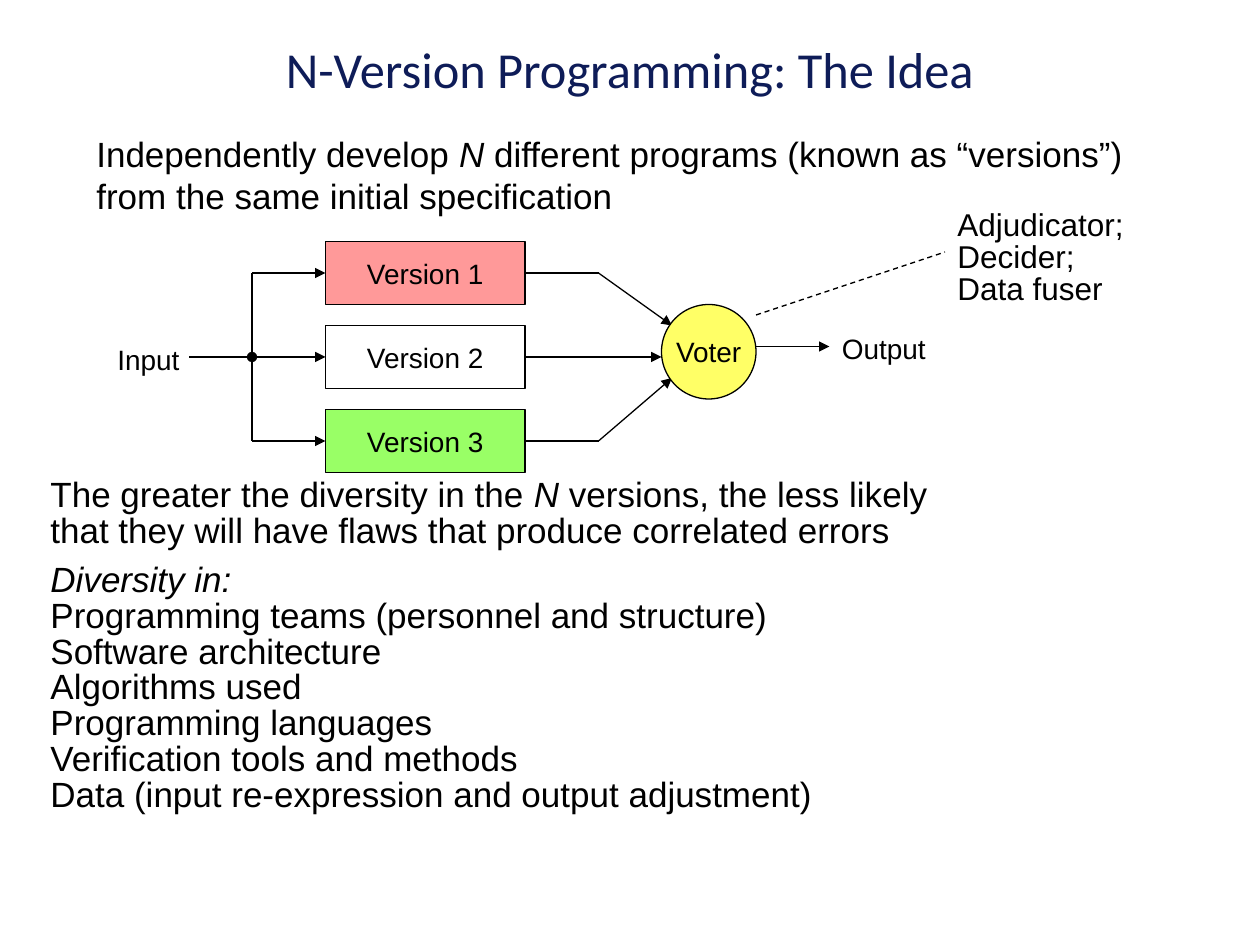
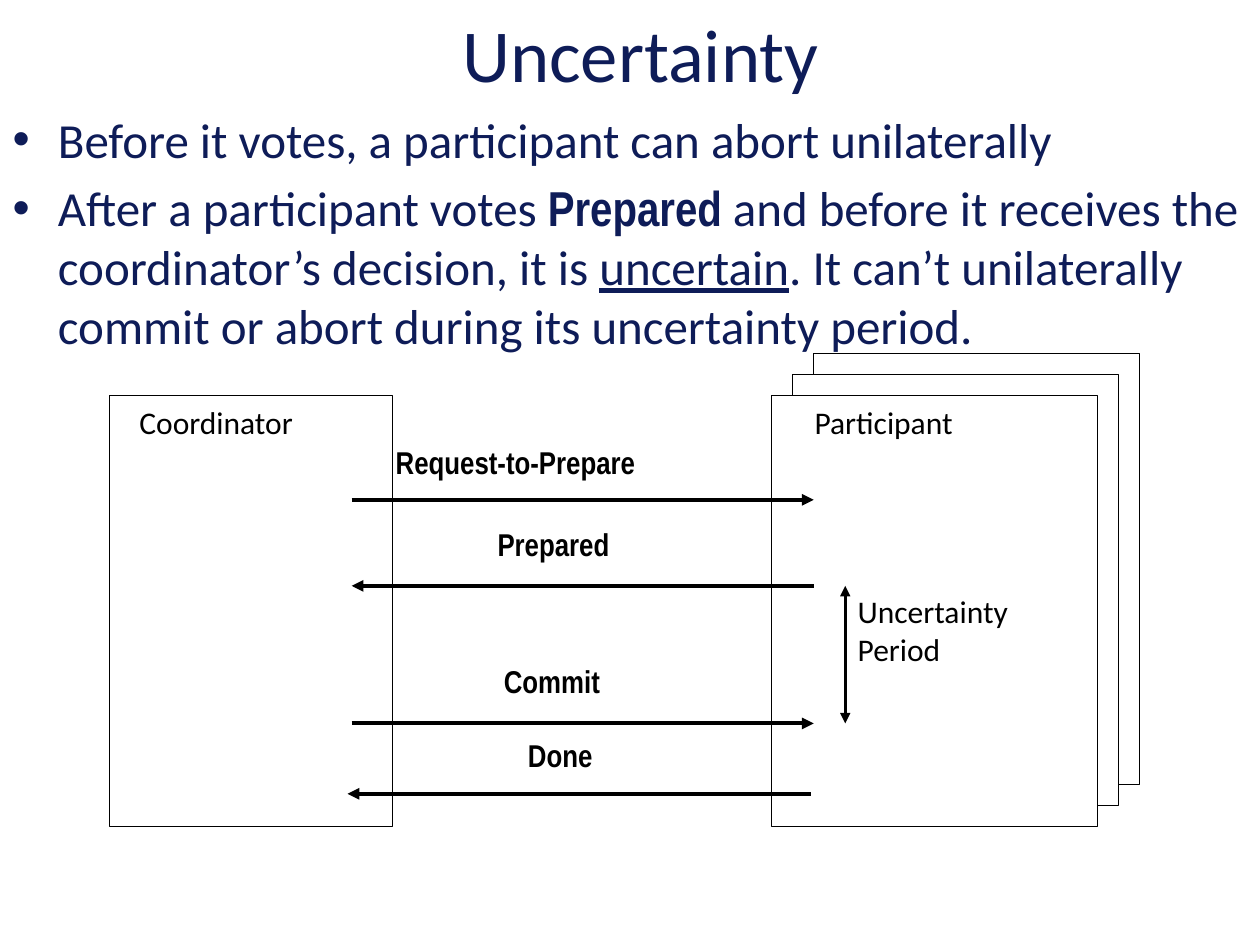
import pptx
import pptx.util
import pptx.dml.color
import pptx.enum.dml
import pptx.enum.shapes
import pptx.enum.text
import pptx.oxml.ns
from dataclasses import dataclass
from lxml import etree

SHAPE = pptx.enum.shapes.MSO_SHAPE
ALIGN = pptx.enum.text.PP_ALIGN
ANCHOR = pptx.enum.text.MSO_ANCHOR
qn = pptx.oxml.ns.qn


@dataclass(frozen=True)
class Theme:
    """Colours, fonts, type sizes and line widths of both slides."""
    navy: str = "0E1C58"
    ink: str = "000000"
    paper: str = "FFFFFF"
    rose: str = "FF9999"
    lime: str = "99FF66"
    yellow: str = "FFFF66"
    heading: str = "Calibri"
    plain: str = "Arial"
    message: str = "Arial Narrow"
    idea_title: float = 28.8
    uncertainty_title: float = 42.7
    bullet: float = 28
    prose: float = 20
    note: float = 18
    label: float = 16
    tight: float = 0.85
    thin: float = 0.75
    medium: float = 1.75
    thick: float = 2.25


THEME = Theme()
CELLS_PER_INCH = 12


def cells(count):
    """Convert grid cells, twelve to the inch, to a length."""
    return pptx.util.Inches(count / CELLS_PER_INCH)


def rgb(colour):
    """Return the colour object of a hex string."""
    return pptx.dml.color.RGBColor.from_string(colour)


def place(element, box):
    """Move an element to a left, top, width, height box of cells."""
    element.left, element.top, element.width, element.height = map(cells, box)


def add_runs(paragraph, runs, font, size, colour=THEME.ink):
    """Add runs, each a string or a pair of string and font changes."""
    for piece in runs:
        words, changes = (piece, {}) if isinstance(piece, str) else piece
        run = paragraph.add_run()
        run.text = words
        run.font.name = font
        run.font.size = pptx.util.Pt(size)
        run.font.color.rgb = rgb(colour)
        for attribute, value in changes.items():
            setattr(run.font, attribute, value)


def fill_lines(frame, lines, font, size, colour=THEME.ink, spacing=None):
    """Write one paragraph for each list of runs and return them."""
    frame.word_wrap = True
    frame.auto_size = pptx.enum.text.MSO_AUTO_SIZE.NONE
    paragraphs = []
    for number, runs in enumerate(lines):
        paragraph = frame.add_paragraph() if number else frame.paragraphs[0]
        if spacing:
            paragraph.line_spacing = spacing
        add_runs(paragraph, runs, font, size, colour)
        paragraphs.append(paragraph)
    return paragraphs


def set_bullet(paragraph, indent=0, mark=None):
    """Give a paragraph a hanging bullet, or none."""
    properties = paragraph._p.get_or_add_pPr()
    hang = pptx.util.Inches(indent)
    properties.set("marL", str(hang))
    properties.set("indent", str(-hang))
    bullet = etree.SubElement(properties, qn("a:buChar" if mark else "a:buNone"))
    if mark:
        bullet.set("char", mark)


def add_titled_slide(deck, title, size, box):
    """Add a slide with title and body placeholders and set its title."""
    slide = deck.slides.add_slide(deck.slide_layouts[1])
    heading = slide.shapes.title
    place(heading, box)
    paragraph, = fill_lines(heading.text_frame, [[title]], THEME.heading, size, THEME.navy)
    paragraph.alignment = ALIGN.CENTER
    heading.text_frame.vertical_anchor = ANCHOR.MIDDLE
    return slide


def add_note(slide, box, lines, font, size, spacing=None):
    """Add free text."""
    note = slide.shapes.add_textbox(*map(cells, box))
    fill_lines(note.text_frame, lines, font, size, spacing=spacing)


def add_node(slide, kind, box, fill=None, label=None):
    """Add an outlined diagram node, with a centred label if given."""
    node = slide.shapes.add_shape(kind, *map(cells, box))
    node.shadow.inherit = False
    if fill:
        node.fill.solid()
        node.fill.fore_color.rgb = rgb(fill)
    else:
        node.fill.background()
    node.line.color.rgb = rgb(THEME.ink)
    node.line.width = pptx.util.Pt(THEME.thin)
    if label:
        paragraph, = fill_lines(node.text_frame, [[label]], THEME.plain, THEME.label)
        paragraph.alignment = ALIGN.CENTER
        node.text_frame.vertical_anchor = ANCHOR.MIDDLE
        node.text_frame.word_wrap = False


def add_link(slide, start, end, width=THEME.thin, head=None, tail=None, dashed=False):
    """Draw a straight line between two grid points."""
    link = slide.shapes.add_connector(
        pptx.enum.shapes.MSO_CONNECTOR.STRAIGHT, *map(cells, (*start, *end)))
    link.line.color.rgb = rgb(THEME.ink)
    link.line.width = pptx.util.Pt(width)
    if dashed:
        link.line.dash_style = pptx.enum.dml.MSO_LINE.DASH
    outline = link.line._get_or_add_ln()
    for tag, tip in (("a:headEnd", head), ("a:tailEnd", tail)):
        if tip:
            etree.SubElement(outline, qn(tag)).set("type", tip)
    etree.SubElement(link._element.spPr, qn("a:effectLst"))


def draw_versions(slide):
    """Draw the input, the three versions, the voter and the output."""
    fork, version_left, version_right, bend = 24, 31, 50, 57
    voter_left, voter_right, middle = 63, 72, 34
    fills = (THEME.rose, THEME.paper, THEME.lime)
    voter_entries = ((64, 31), (voter_left, middle), (64, 36))
    for index, (fill, entry) in enumerate(zip(fills, voter_entries)):
        row = middle + 8 * (index - 1)
        add_node(slide, SHAPE.RECTANGLE, (version_left, row - 3, 19, 6),
                 fill, f"Version {index + 1}")
        add_link(slide, (fork, row), (version_left, row), tail="triangle")
        departure = (version_right, row)
        if row != middle:
            add_link(slide, departure, (bend, row))
            departure = (bend, row)
        add_link(slide, departure, entry, tail="triangle")
    add_link(slide, (fork, middle - 8), (fork, middle + 8))
    add_link(slide, (18, middle), (fork, middle), tail="oval")
    add_node(slide, SHAPE.OVAL, (voter_left, 29, 9, 9), THEME.yellow, "Voter")
    add_link(slide, (voter_right, 33), (79, 33), tail="triangle")
    add_link(slide, (voter_right, 30), (90, 24), dashed=True)
    add_note(slide, (10, 32, 9, 4.4), [["Input"]], THEME.plain, THEME.label)
    add_note(slide, (79, 31, 12, 4.4), [["Output"]], THEME.plain, THEME.label)
    add_note(slide, (90, 19.5, 20, 10.4), [["Adjudicator;"], ["Decider;"], ["Data fuser"]],
             THEME.plain, THEME.note, THEME.tight)


def build_idea(deck):
    """Build the slide on N-version programming."""
    slide = add_titled_slide(deck, "N-Version Programming: The Idea",
                             THEME.idea_title, (3, 3, 114, 7))
    italic_n = ("N", {"italic": True})
    add_note(slide, (8, 12, 101, 9.2),
             [["Independently develop ", italic_n,
               " different programs (known as “versions”) from the same initial specification"]],
             THEME.plain, THEME.prose)
    diversity = slide.placeholders[1]
    place(diversity, (3.6, 45, 109.7, 33.5))
    kinds = ("Programming teams (personnel and structure)", "Software architecture",
             "Algorithms used", "Programming languages", "Verification tools and methods",
             "Data (input re-expression and output adjustment)")
    lines = [["The greater the diversity in the ", italic_n, " versions, the less likely"],
             ["that they will have flaws that produce correlated errors"],
             [("Diversity in:", {"italic": True})],
             *([kind] for kind in kinds)]
    paragraphs = fill_lines(diversity.text_frame, lines, THEME.plain, THEME.prose,
                            spacing=THEME.tight)
    for number, paragraph in enumerate(paragraphs):
        paragraph.space_before = pptx.util.Pt(8 if number == 2 else 0)
        set_bullet(paragraph)
    draw_versions(slide)


def draw_protocol(slide):
    """Draw the messages between the coordinator and its participants."""
    top, height, step = 37.7, 41, 2
    for depth in (2, 1, 0):
        add_node(slide, SHAPE.RECTANGLE,
                 (73.5 + step * depth, top - step * depth, 31, height), THEME.paper)
    add_node(slide, SHAPE.RECTANGLE, (10.4, top, 27, height))
    for role, left in (("Coordinator", 12.1), ("Participant", 76.4)):
        add_note(slide, (left, 37.8, 25, 6.8), [[role]], THEME.heading, THEME.note)
    near, far = 33.5, 77.5
    vote, decision = 55.8, 68.9
    messages = (
        ("Request-to-Prepare", (36.5, 41.6), (near, far), 47.6),
        ("Prepared", (46.2, 49.4), (far, near), vote),
        ("Commit", (46.8, 62.5), (near, far), decision),
        ("Done", (49.1, 69.5), (77.2, 33.1), 75.6),
    )
    for message, corner, (sender, receiver), row in messages:
        add_note(slide, (*corner, 38, 6.8), [[(message, {"bold": True})]],
                 THEME.message, THEME.note)
        add_link(slide, (sender, row), (receiver, row), THEME.thick, tail="triangle")
    add_link(slide, (80.5, vote), (80.5, decision), THEME.medium, "triangle", "triangle")
    add_note(slide, (80.5, vote, 24.4, 12.4), [["Uncertainty"], ["Period"]],
             THEME.heading, THEME.note)


def build_uncertainty(deck):
    """Build the slide on the uncertainty period."""
    slide = add_titled_slide(deck, "Uncertainty", THEME.uncertainty_title, (10, 0, 102, 10))
    rules = slide.placeholders[1]
    place(rules, (0, 9.8, 120, 26))
    lines = [["Before it votes, a participant can abort unilaterally"],
             ["After a participant votes ",
              ("Prepared", {"name": THEME.message, "bold": True}),
              " and before it receives the coordinator’s decision, it is ",
              ("uncertain", {"underline": True}),
              ". It can’t unilaterally commit or abort during its uncertainty period."]]
    for paragraph in fill_lines(rules.text_frame, lines, THEME.heading, THEME.bullet,
                                THEME.navy):
        set_bullet(paragraph, 0.36, "•")
    draw_protocol(slide)


def main():
    """Build and save the deck."""
    deck = pptx.Presentation()
    deck.slide_width, deck.slide_height = cells(120), cells(90)
    build_idea(deck)
    build_uncertainty(deck)
    deck.save("out.pptx")


if __name__ == "__main__":
    main()
